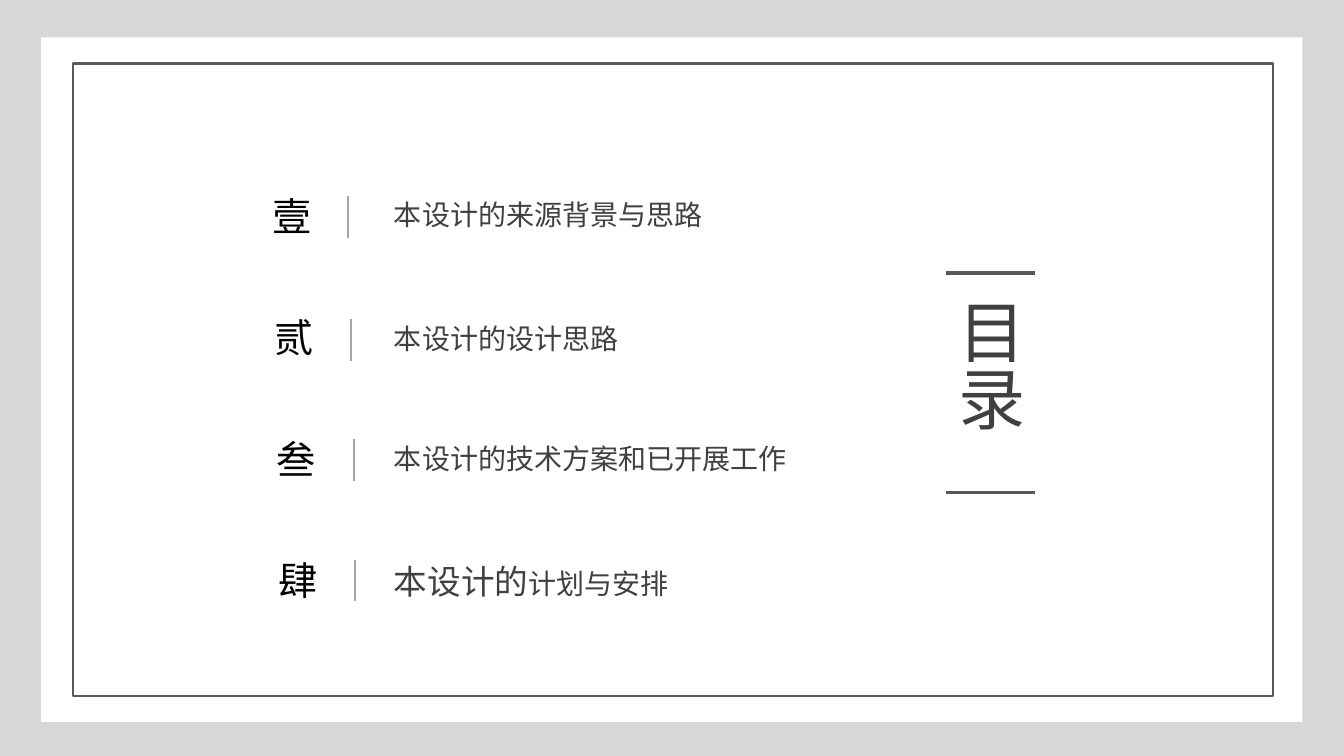
from lxml import etree
from pptx import Presentation
from pptx.dml.color import RGBColor
from pptx.enum.shapes import MSO_CONNECTOR, MSO_SHAPE
from pptx.enum.text import MSO_ANCHOR, MSO_AUTO_SIZE, PP_ALIGN
from pptx.oxml.ns import qn
from pptx.util import Cm, Pt

RECTANGLE = MSO_SHAPE.RECTANGLE
STRAIGHT = MSO_CONNECTOR.STRAIGHT
JUSTIFY, LEFT = PP_ALIGN.JUSTIFY, PP_ALIGN.LEFT
TOP = MSO_ANCHOR.TOP
NO_AUTOFIT = MSO_AUTO_SIZE.NONE

FONT = "Noto Sans CJK SC"
BACKDROP, CARD, FRAME = "D7D7D7", "FFFFFF", "595959"
DARK, BLACK, DIVIDER = "404040", "000000", "A6A6A6"

TITLE = "目录"
# numeral, divider left, divider top, entry top, entry runs as (text, size)
ENTRIES = [
    ("壹", 8.76, 4.95, 4.85, [("本设计的来源背景与思路", 20)]),
    ("贰", 8.84, 8.05, 7.98, [("本设计的设计思路", 20)]),
    ("叁", 8.92, 11.07, 11.0, [("本设计的技术方案和已开展工作", 20)]),
    ("肆", 8.94, 14.1, 14.02, [("本设计的", 24), ("计划与安排", 20)]),
]
NUMERAL_LEFT, NUMERAL_TOP = 6.63, 4.72
NUMERAL_SHIFT, NUMERAL_STEP = 0.05, 3.06
DIVIDER_HEIGHT = 1.05
ENTRY_LEFT, ENTRY_WIDTH, ENTRY_HEIGHT = 9.68, 11.1, 1.12
RULE_LEFT, RULE_RIGHT = 23.85, 26.09
RULE_TOPS = (6.88, 12.4)


def color(value):
    return RGBColor.from_string(value)


def add_rectangle(slide, left, top, width, height, fill=None, line=None):
    shape = slide.shapes.add_shape(RECTANGLE, Cm(left), Cm(top), Cm(width), Cm(height))
    shape.shadow.inherit = False
    if fill:
        shape.fill.solid()
        shape.fill.fore_color.rgb = color(fill)
    else:
        shape.fill.background()
    if line:
        shape.line.color.rgb = color(line)
        shape.line.width = Pt(1.5)
    else:
        shape.line.fill.background()


def add_line(slide, left, top, right, bottom, line, width):
    connector = slide.shapes.add_connector(STRAIGHT, Cm(left), Cm(top), Cm(right), Cm(bottom))
    connector.line.color.rgb = color(line)
    connector.line.width = Pt(width)
    etree.SubElement(connector._element.spPr, qn("a:effectLst"))


def write_runs(shape, runs, text_color, alignment):
    """Fill the first paragraph with (text, size) runs, anchored at the top."""
    frame = shape.text_frame
    frame.word_wrap = True
    frame.auto_size = NO_AUTOFIT
    frame.vertical_anchor = TOP
    paragraph = frame.paragraphs[0]
    paragraph.alignment = alignment
    for text, size in runs:
        run = paragraph.add_run()
        run.text = text
        run.font.size = Pt(size)
        run.font.name = FONT
        run.font.color.rgb = color(text_color)
        east_asian = etree.SubElement(run.font._element, qn("a:ea"))
        east_asian.set("typeface", FONT)


def add_text(slide, left, top, width, height, runs, text_color, alignment):
    box = slide.shapes.add_textbox(Cm(left), Cm(top), Cm(width), Cm(height))
    write_runs(box, runs, text_color, alignment)


def add_title(slide):
    title = slide.shapes.title
    title.left, title.top, title.width, title.height = Cm(23.65), Cm(7.39), Cm(2.57), Cm(4.55)
    write_runs(title, [(TITLE, 48)], DARK, JUSTIFY)
    title.text_frame._txBody.bodyPr.set("vert", "eaVert")
    # Bring the title in front of the card
    title._element.getparent().append(title._element)


def main():
    presentation = Presentation()
    presentation.slide_width, presentation.slide_height = Cm(33.87), Cm(19.05)
    slide = presentation.slides.add_slide(presentation.slide_layouts[5])

    add_rectangle(slide, 0, 0, 33.87, 19.15, fill=BACKDROP)
    add_rectangle(slide, 1.04, 0.94, 31.78, 17.25, fill=CARD)
    add_rectangle(slide, 1.83, 1.6, 30.25, 15.95, line=FRAME)

    for index, (numeral, divider_left, divider_top, entry_top, runs) in enumerate(ENTRIES):
        add_text(slide, NUMERAL_LEFT + index * NUMERAL_SHIFT, NUMERAL_TOP + index * NUMERAL_STEP,
                 1.88, 1.45, [(numeral, 28)], BLACK, LEFT)
        add_line(slide, divider_left, divider_top, divider_left, divider_top + DIVIDER_HEIGHT,
                 DIVIDER, 1.5)
        add_text(slide, ENTRY_LEFT, entry_top, ENTRY_WIDTH, ENTRY_HEIGHT, runs, DARK, JUSTIFY)

    add_title(slide)
    for rule_top in RULE_TOPS:
        add_line(slide, RULE_LEFT, rule_top, RULE_RIGHT, rule_top, FRAME, 2.25)

    presentation.save("out.pptx")


if __name__ == "__main__":
    main()
